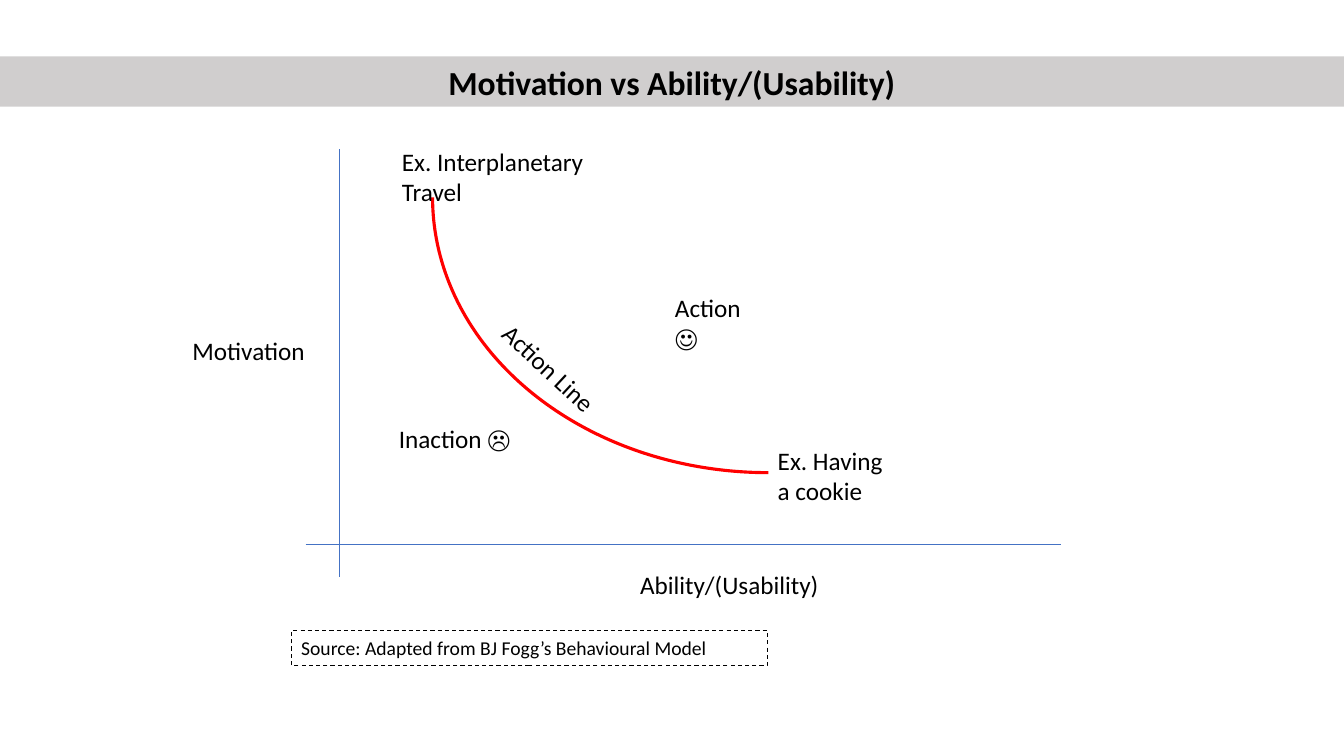
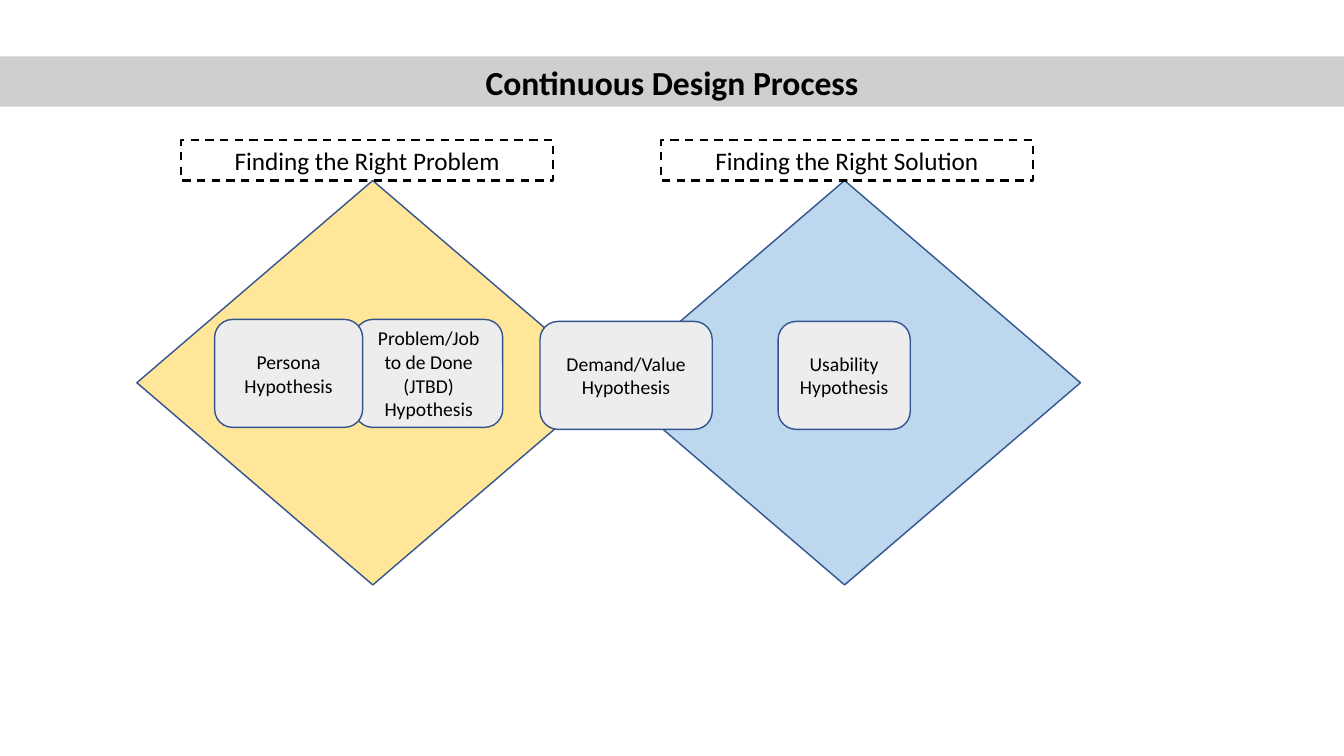
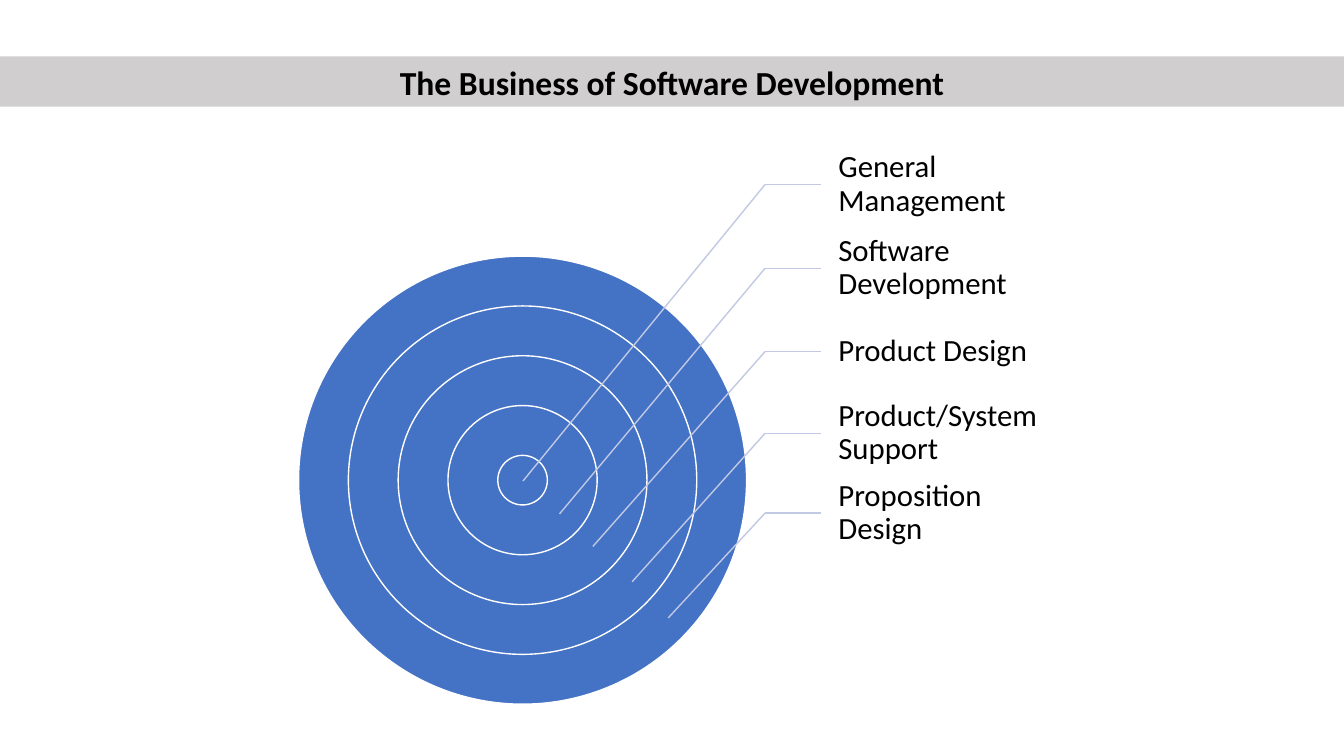
from lxml import etree
from pptx import Presentation
from pptx.dml.color import RGBColor
from pptx.enum.dml import MSO_LINE
from pptx.enum.shapes import MSO_CONNECTOR, MSO_SHAPE
from pptx.enum.text import MSO_ANCHOR, MSO_AUTO_SIZE, PP_ALIGN
from pptx.oxml.ns import qn
from pptx.util import Cm, Pt

STRAIGHT = MSO_CONNECTOR.STRAIGHT
RECTANGLE, ROUNDED = MSO_SHAPE.RECTANGLE, MSO_SHAPE.ROUNDED_RECTANGLE
DIAMOND, OVAL, ARC = MSO_SHAPE.DIAMOND, MSO_SHAPE.OVAL, MSO_SHAPE.ARC
LEFT, CENTER = PP_ALIGN.LEFT, PP_ALIGN.CENTER
TOP, MIDDLE = MSO_ANCHOR.TOP, MSO_ANCHOR.MIDDLE
DASH = MSO_LINE.DASH

FONT = "Calibri"
BLACK, WHITE, RED = "000000", "FFFFFF", "FF0000"
BAND_GRAY, BOX_GRAY = "D0CECE", "EDEDED"
BLUE, DARK_BLUE, LEADER_BLUE = "4472C4", "325491", "C1C9E4"
YELLOW, PALE_BLUE = "FFE699", "BDD7EE"


def paint(shape, fill=None, line=None, width=1, dash=None):
    """Set fill and outline from hex colours and switch off the theme shadow."""
    if fill:
        shape.fill.solid()
        shape.fill.fore_color.rgb = RGBColor.from_string(fill)
    elif hasattr(shape, "fill"):
        shape.fill.background()
    if line:
        shape.line.color.rgb = RGBColor.from_string(line)
        shape.line.width = Pt(width)
        shape.line.dash_style = dash
    else:
        shape.line.fill.background()
    etree.SubElement(shape._element.spPr, qn("a:effectLst"))


def write(shape, text, size, align=LEFT, anchor=TOP, bold=False):
    frame = shape.text_frame
    frame.word_wrap = True
    frame.auto_size = MSO_AUTO_SIZE.NONE
    frame.vertical_anchor = anchor
    frame.text = text
    para = frame.paragraphs[0]
    para.alignment = align
    para.font.name = FONT
    para.font.size = Pt(size)
    para.font.bold = bold
    para.font.color.rgb = RGBColor.from_string(BLACK)


deck = Presentation()
deck.slide_width, deck.slide_height = Cm(33.87), Cm(19.05)
title_only = deck.slide_layouts[5]

# Slides with their title bands
pages = []
for heading in ("Motivation vs Ability/(Usability)",
                "Continuous Design Process",
                "The Business of Software Development"):
    page = deck.slides.add_slide(title_only)
    title = page.shapes.title
    title.left, title.top = Cm(0), Cm(1.42)
    title.width, title.height = deck.slide_width, Cm(1.27)
    paint(title, BAND_GRAY)
    write(title, heading, 24, CENTER, MIDDLE, bold=True)
    pages.append(page.shapes)
motivation, process, business = pages

# Motivation against ability
for ends in ((8.56, 3.76, 8.56, 14.53), (7.7, 13.72, 26.75, 13.72)):
    axis = motivation.add_connector(STRAIGHT, *map(Cm, ends))
    paint(axis, line=BLUE, width=0.5)

action_curve = motivation.add_shape(ARC, Cm(10.9), Cm(-1.96), Cm(16.92), Cm(13.87))
action_curve.rotation = 180
paint(action_curve, line=RED, width=2.25)

for text, left, top, width, height, angle in (
    ("Motivation", 4.6, 8.33, 3.53, 1.02, 0),
    ("Ability/(Usability)", 15.88, 14.22, 5.36, 1.02, 0),
    ("Action Line", 12.07, 8.97, 3.96, 1.02, 42.9),
    ("Action ☺", 16.76, 7.24, 2.54, 1.8, 0),
    ("Inaction ☹", 9.8, 10.54, 3.45, 1.02, 0),
    ("Ex. Interplanetary Travel", 9.88, 3.56, 5.26, 1.8, 0),
    ("Ex. Having a cookie", 19.35, 11.1, 3.33, 1.8, 0),
):
    box = motivation.add_textbox(Cm(left), Cm(top), Cm(width), Cm(height))
    box.rotation = angle
    write(box, text, 18)

source = motivation.add_shape(RECTANGLE, Cm(7.34), Cm(15.9), Cm(12.01), Cm(0.86))
paint(source, line=BLACK, width=0.75, dash=DASH)
write(source, "Source: Adapted from BJ Fogg’s Behavioural Model", 14)

# Double diamond
for text, label_left, diamond_left, color in (
    ("Finding the Right Problem", 4.57, 3.45, YELLOW),
    ("Finding the Right Solution", 16.66, 15.34, PALE_BLUE),
):
    diamond = process.add_shape(DIAMOND, Cm(diamond_left), Cm(4.55), Cm(11.89), Cm(10.19))
    paint(diamond, color, DARK_BLUE)
    label = process.add_shape(RECTANGLE, Cm(label_left), Cm(3.53), Cm(9.37), Cm(1.02))
    paint(label, line=BLACK, width=1.5, dash=DASH)
    write(label, text, 18, CENTER)

for text, left, top, width in (
    ("Problem/Job to de Done (JTBD) Hypothesis", 8.94, 8.05, 3.73),
    ("Persona Hypothesis", 5.41, 8.05, 3.73),
    ("Demand/Value Hypothesis", 13.61, 8.1, 4.34),
    ("Usability Hypothesis", 19.61, 8.1, 3.33),
):
    hypothesis = process.add_shape(ROUNDED, Cm(left), Cm(top), Cm(width), Cm(2.72))
    paint(hypothesis, BOX_GRAY, DARK_BLUE)
    write(hypothesis, text, 14, CENTER, MIDDLE)

# Concentric rings, largest first, and their labels
center_x, center_y = 13.17, 12.1
for ring in reversed(range(5)):
    diameter = 1.25 + 2.51 * ring
    circle = business.add_shape(OVAL, Cm(center_x - diameter / 2), Cm(center_y - diameter / 2),
                                Cm(diameter), Cm(diameter))
    paint(circle, BLUE, WHITE)

elbow_x, label_x, label_height = 19.28, 20.7, 1.98
for text, label_y, tip_x, tip_y in (
    ("General Management", 4.65, 13.18, 12.12),
    ("Software Development", 6.76, 14.1, 12.95),
    ("Product Design", 8.86, 14.94, 13.77),
    ("Product/System Support", 10.92, 15.93, 14.66),
    ("Proposition Design", 12.93, 16.84, 15.57),
):
    label = business.add_textbox(Cm(label_x), Cm(label_y - label_height / 2),
                                 Cm(5.64), Cm(label_height))
    write(label, text, 22, anchor=MIDDLE)
    frame = label.text_frame
    frame.margin_left = Cm(0.43)
    frame.margin_right = frame.margin_top = frame.margin_bottom = Cm(0.08)
    frame.paragraphs[0].line_spacing = 0.9
    for end_x, end_y in ((label_x, label_y), (tip_x, tip_y)):
        leader = business.add_connector(STRAIGHT, Cm(elbow_x), Cm(label_y), Cm(end_x), Cm(end_y))
        paint(leader, line=LEADER_BLUE)

deck.save("out.pptx")
